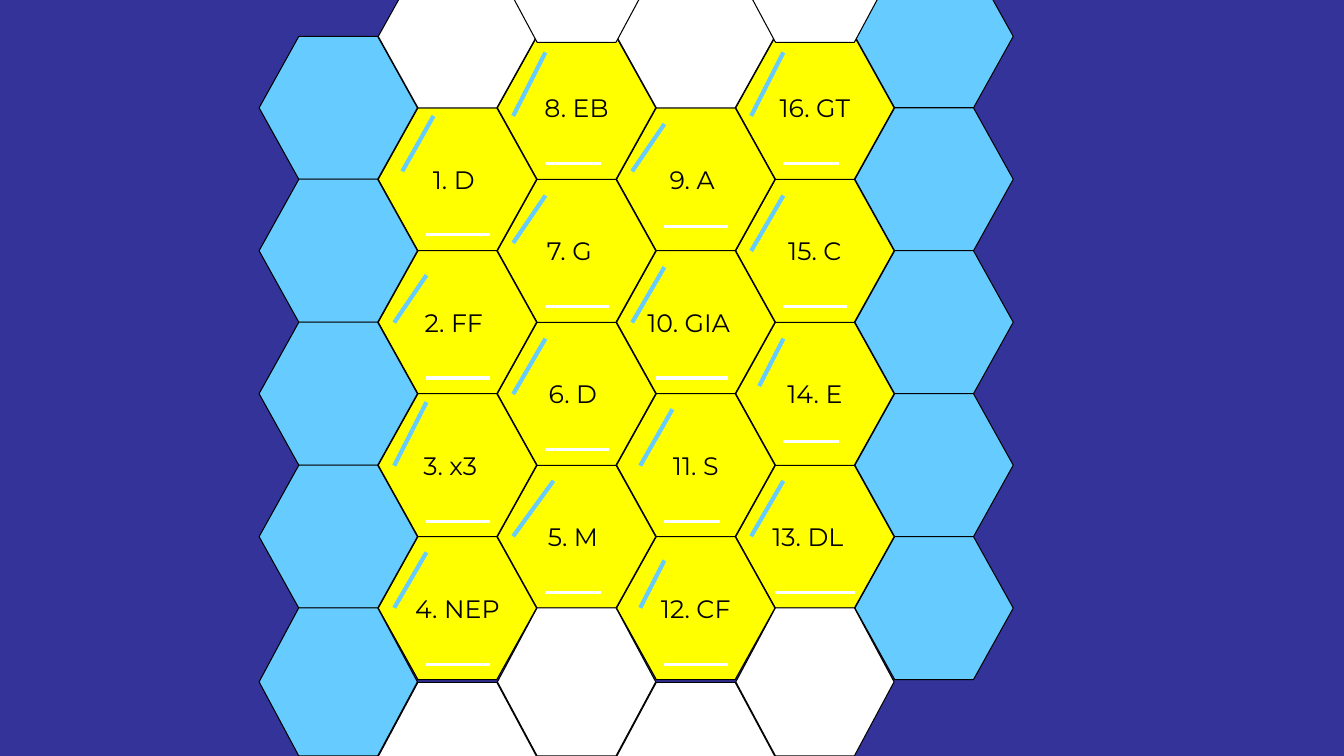
from collections import namedtuple

from lxml.etree import SubElement
from pptx import Presentation
from pptx.dml.color import RGBColor
from pptx.enum.shapes import MSO_CONNECTOR, MSO_SHAPE
from pptx.enum.text import MSO_ANCHOR, PP_ALIGN
from pptx.oxml.ns import qn
from pptx.util import Inches, Pt

COLORS = {
    "background": "333399",
    "yellow": "FFFF00",
    "blue": "66CCFF",
    "white": "FFFFFF",
    "black": "000000",
}
FIRST_LEFT, COLUMN_STEP = 2.57, 1.182
FIRST_TOP, HALF_ROW = 0.36, 0.709
CELL_WIDTH, CELL_HEIGHT, TALL_HEIGHT = 1.57, 1.42, 1.47
SIDE_INSET = 0.1

Clue = namedtuple("Clue", "text column half_row nudge underline slash")

CLUES = [
    Clue("1. D", 1, 1, 0.07, (4.23, 4.86, 2.33), (4.3, 1.15, 3.99, 1.7)),
    Clue("2. FF", 1, 3, 0.07, (4.23, 4.86, 3.75), (4.23, 2.73, 3.91, 3.2)),
    Clue("3. x3", 1, 5, 0.14, (4.23, 4.86, 5.17), (4.23, 3.99, 3.91, 4.62)),
    Clue("4. NEP", 1, 7, 0, (4.23, 4.86, 6.59), (4.23, 5.48, 3.91, 6.03)),
    Clue("5. M", 2, 6, 0.07, (5.41, 5.96, 5.88), (5.49, 4.77, 5.09, 5.32)),
    Clue("6. D", 2, 4, 0.07, (5.41, 6.04, 4.46), (5.41, 3.36, 5.09, 3.91)),
    Clue("7. G", 2, 2, 0.14, (5.41, 6.04, 3.04), (5.41, 1.94, 5.09, 2.41)),
    Clue("8. EB", 2, 0, 0, (5.41, 5.96, 1.62), (5.41, 0.52, 5.09, 1.15)),
    Clue("9. A", 3, 1, 0.07, (6.59, 7.22, 2.25), (6.59, 1.23, 6.27, 1.7)),
    Clue("10. GIA", 3, 3, 0.14, (6.51, 7.22, 3.75), (6.59, 2.65, 6.27, 3.2)),
    Clue("11. S", 3, 5, 0, (6.59, 7.14, 5.17), (6.67, 4.06, 6.35, 4.62)),
    Clue("12. CF", 3, 7, 0, (6.59, 7.22, 6.59), (6.59, 5.56, 6.35, 6.03)),
    Clue("13. DL", 4, 6, 0.14, (7.69, 8.48, 5.88), (7.77, 4.77, 7.45, 5.32)),
    Clue("14. E", 4, 4, 0, (7.77, 8.32, 4.38), (7.77, 3.36, 7.53, 3.83)),
    Clue("15. C", 4, 2, 0, (7.77, 8.4, 3.04), (7.77, 1.94, 7.45, 2.49)),
    Clue("16. GT", 4, 0, 0, (7.77, 8.32, 1.62), (7.77, 0.52, 7.45, 1.15)),
]
BLUE_CELLS = [(0, row) for row in (0, 2, 4, 6)] + [(5, row) for row in (-1, 1, 3, 5, 7)]
WHITE_CELLS = [(1, -1), (3, -1)]
TALL_CELLS = [
    (0, 6.03, "blue"),
    (2, 6.03, "white"),
    (4, 6.03, "white"),
    (1, 6.77, "white"),
    (3, 6.77, "white"),
    (2, -1.05, "white"),
    (4, -1.05, "white"),
]


def rgb(name):
    """Return the named colour."""
    return RGBColor.from_string(COLORS[name])


def row_top(half_row):
    """Return the top of a cell that starts at the given half row."""
    return FIRST_TOP + half_row * HALF_ROW


def add_cell(slide, column, top, color, height=CELL_HEIGHT, point=0.278):
    """Add one hexagon of the honeycomb."""
    left = FIRST_LEFT + column * COLUMN_STEP
    cell = slide.shapes.add_shape(
        MSO_SHAPE.HEXAGON, Inches(left), Inches(top), Inches(CELL_WIDTH), Inches(height)
    )
    cell.adjustments[0] = point
    cell.shadow.inherit = False
    cell.fill.solid()
    cell.fill.fore_color.rgb = rgb(color)
    cell.line.color.rgb = rgb("black")
    cell.line.width = Pt(0.75)
    return cell


def write_clue(cell, clue):
    """Write the clue in its cell, nudged left by a wider right inset."""
    frame = cell.text_frame
    frame.word_wrap = False
    frame.vertical_anchor = MSO_ANCHOR.MIDDLE
    frame.margin_left = Inches(SIDE_INSET)
    frame.margin_right = Inches(SIDE_INSET + clue.nudge)
    paragraph = frame.paragraphs[0]
    paragraph.text = clue.text
    paragraph.alignment = PP_ALIGN.CENTER
    paragraph.font.name = "Montserrat"
    paragraph.font.size = Pt(18)
    paragraph.font.color.rgb = rgb("black")


def add_stroke(slide, start_x, start_y, end_x, end_y, color, width):
    """Add a straight coloured stroke without shadow."""
    stroke = slide.shapes.add_connector(
        MSO_CONNECTOR.STRAIGHT,
        Inches(start_x), Inches(start_y), Inches(end_x), Inches(end_y),
    )
    stroke.line.color.rgb = rgb(color)
    stroke.line.width = Pt(width)
    SubElement(stroke._element.spPr, qn("a:effectLst"))


def main():
    """Build the honeycomb board and save it."""
    deck = Presentation()
    deck.slide_width, deck.slide_height = Inches(13.33), Inches(7.5)
    slide = deck.slides.add_slide(deck.slide_layouts[6])
    slide.background.fill.solid()
    slide.background.fill.fore_color.rgb = rgb("background")

    for clue in CLUES:
        cell = add_cell(slide, clue.column, row_top(clue.half_row), "yellow")
        write_clue(cell, clue)
    for color, places in (("blue", BLUE_CELLS), ("white", WHITE_CELLS)):
        for column, half_row in places:
            add_cell(slide, column, row_top(half_row), color)
    for column, top, color in TALL_CELLS:
        add_cell(slide, column, top, color, TALL_HEIGHT, 0.268)
    for clue in CLUES:
        left, right, level = clue.underline
        add_stroke(slide, left, level, right, level, "white", 2.25)
        add_stroke(slide, *clue.slash, "blue", 3)

    deck.save("out.pptx")


if __name__ == "__main__":
    main()
